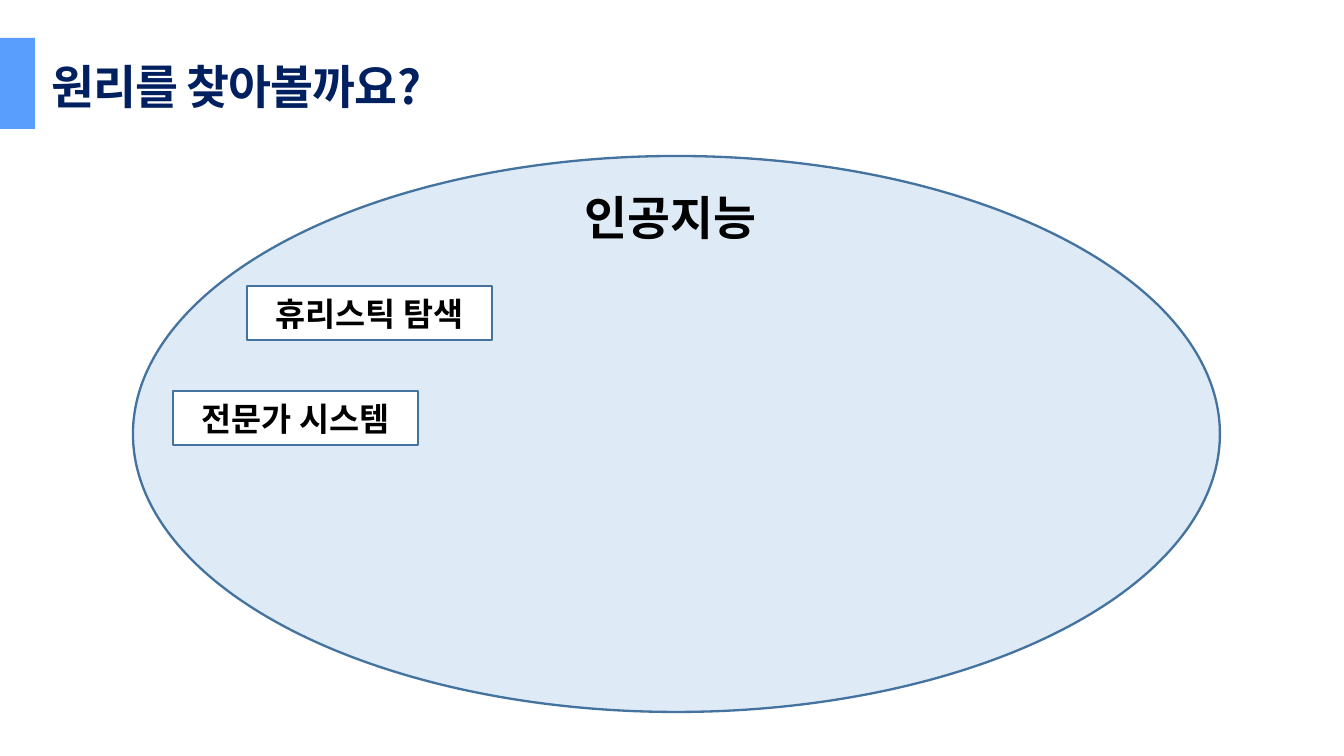
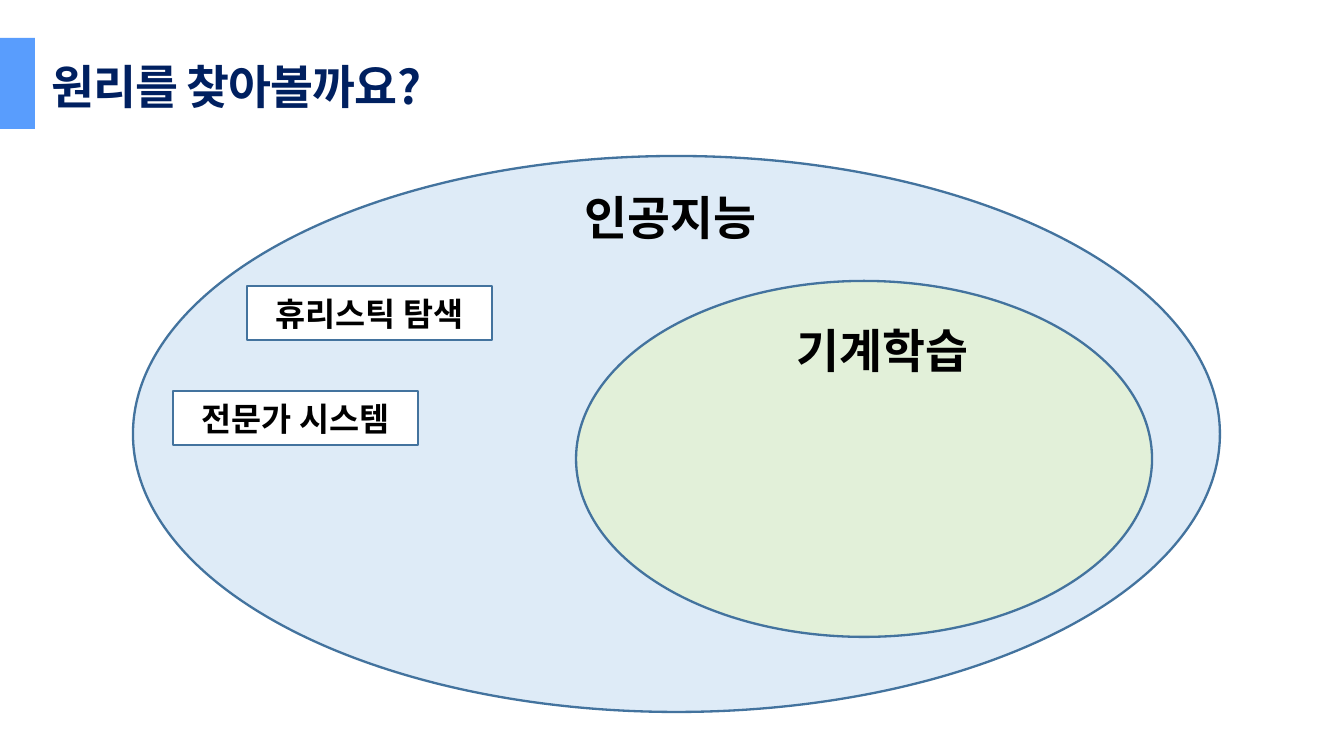
from pptx import Presentation, util as u
from pptx.dml.color import RGBColor
from pptx.enum import shapes, text
from pptx.oxml.ns import qn
from lxml import etree

PX = u.Inches(1) / 168
FONT = "Noto Sans CJK KR"
NAVY, BAND, EDGE = "002060", "599DFD", "43739E"
BLUE, GREEN, WHITE, BLACK = "DEEBF7", "E2F0D9", "FFFFFF", "000000"

TITLE = "원리를 찾아볼까요?"
LABEL_SIZE = (307, 74)
TAG_SIZE = (245, 54)

# Each field: ellipse box, fill, label, label corner, tags with their corners
AI = ((133, 156, 1087, 556), BLUE, "인공지능", (517, 181),
      [("휴리스틱 탐색", (247, 286)), ("전문가 시스템", (173, 391))])
MACHINE_LEARNING = ((576, 281, 576, 356), GREEN, "기계학습", (729, 314), [])
SLIDES = [[AI], [AI, MACHINE_LEARNING]]


def px(*lengths):
    return [round(n * PX) for n in lengths]


def rgb(color):
    return RGBColor.from_string(color)


def write(shape, words, size, color=BLACK, align=text.PP_ALIGN.CENTER,
          anchor=text.MSO_ANCHOR.TOP):
    tf = shape.text_frame
    tf.text = words
    tf.word_wrap = True
    tf.auto_size = text.MSO_AUTO_SIZE.NONE
    tf.vertical_anchor = anchor
    p = tf.paragraphs[0]
    p.alignment = align
    r = p.runs[0]
    r.font.size, r.font.bold, r.font.name = u.Pt(size), True, FONT
    r.font.color.rgb = rgb(color)
    etree.SubElement(r.font._element, qn("a:ea"), typeface=FONT)
    return r


def add_shape(s, kind, box, fill, line=None):
    sp = s.shapes.add_shape(kind, *px(*box))
    sp.shadow.inherit = False
    sp.fill.solid()
    sp.fill.fore_color.rgb = rgb(fill)
    if line:
        sp.line.color.rgb = rgb(line)
        sp.line.width = u.Pt(1)
    else:
        sp.line.fill.background()
    return sp


def add_title(s):
    title = s.shapes.title
    title.left, title.top, title.width, title.height = px(35, 49, 763, 74)
    r = write(title, TITLE, 20, NAVY, text.PP_ALIGN.LEFT)
    r.font._element.set("spc", "-50")
    add_shape(s, shapes.MSO_SHAPE.RECTANGLE, (-39, 38, 74, 91), BAND)


def add_field(s, box, fill, label, corner, tags):
    add_shape(s, shapes.MSO_SHAPE.OVAL, box, fill, EDGE)
    write(s.shapes.add_textbox(*px(*corner, *LABEL_SIZE)), label, 20)
    for words, tag_corner in tags:
        tag = add_shape(s, shapes.MSO_SHAPE.RECTANGLE,
                        (*tag_corner, *TAG_SIZE), WHITE, EDGE)
        write(tag, words, 14, anchor=text.MSO_ANCHOR.MIDDLE)


def main():
    prs = Presentation()
    prs.slide_width, prs.slide_height = px(1344, 756)
    for fields in SLIDES:
        s = prs.slides.add_slide(prs.slide_layouts[5])
        add_title(s)
        for field in fields:
            add_field(s, *field)
    prs.save("out.pptx")


if __name__ == "__main__":
    main()
